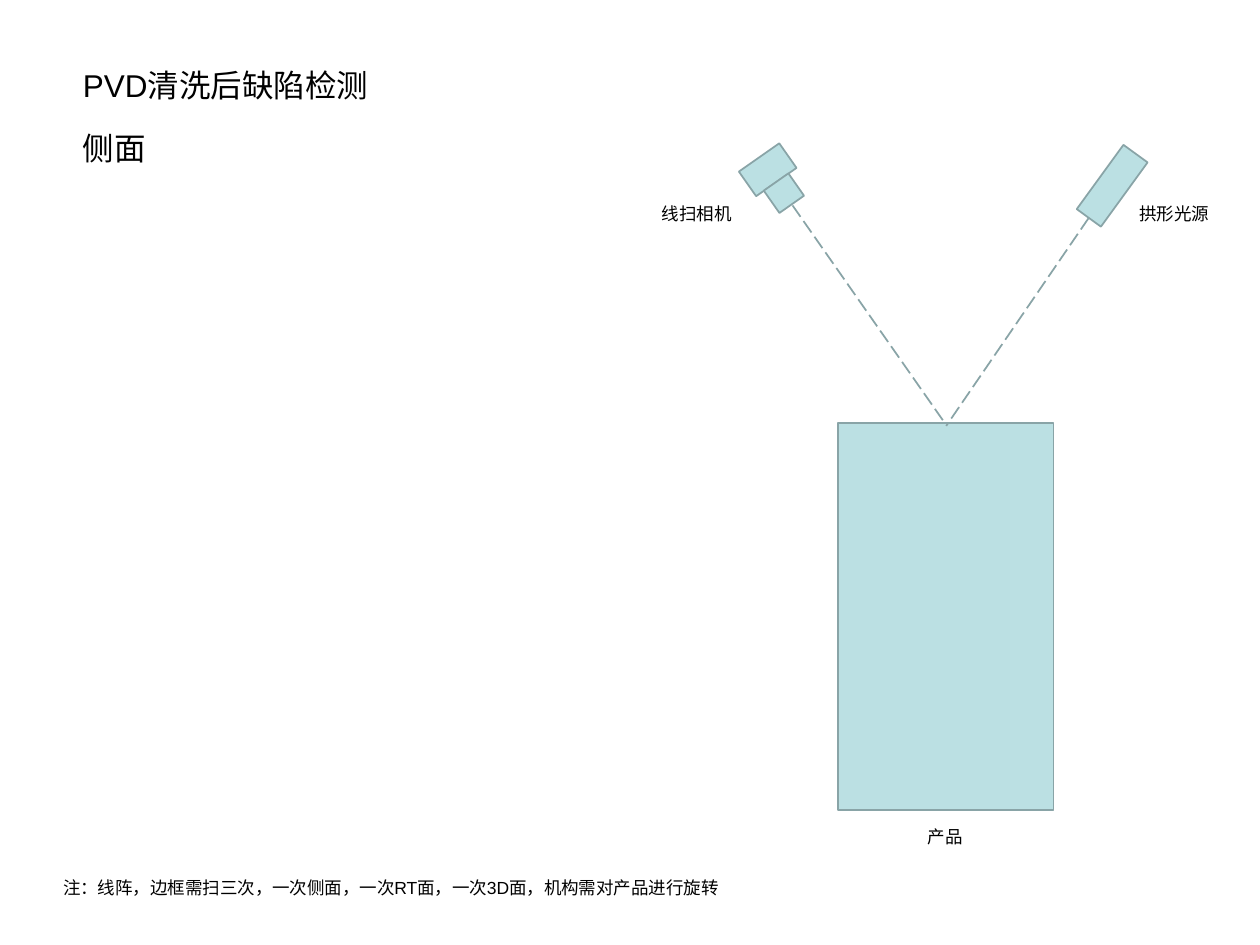
from lxml.etree import SubElement
from pptx import Presentation
from pptx.dml.color import RGBColor as RGB
from pptx.enum.dml import MSO_LINE as Dash
from pptx.enum.shapes import MSO_CONNECTOR as Conn, MSO_SHAPE as Shape
from pptx.enum.text import MSO_ANCHOR as Anchor, MSO_AUTO_SIZE as Auto, PP_ALIGN as Align
from pptx.oxml.ns import qn
from pptx.util import Pt

COLORS = {"fill": "BBE0E3", "line": "89A4A7", "text": "000000"}


def write(sp, text, size=10, font="Arial", color="text", wrap=True):
    tf = sp.text_frame
    tf.word_wrap = wrap
    tf.auto_size = Auto.NONE
    tf.vertical_anchor = Anchor.TOP
    tf.margin_left = tf.margin_right = Pt(7.2)
    tf.margin_top = tf.margin_bottom = Pt(3.6)
    p = tf.paragraphs[0]
    p.alignment = Align.LEFT
    r = p.add_run()
    r.text = text
    r.font.size = Pt(size)
    r.font.name = font
    r.font.color.rgb = RGB.from_string(COLORS[color])


class Builder:
    def __init__(self, slide):
        self.slide = slide
        self.diagram = slide.shapes.add_group_shape().shapes

    def outline(self, line):
        line.color.rgb = RGB.from_string(COLORS["line"])
        line.width = Pt(1)

    def title(self, text, x, y, w, h, **fmt):
        sp = self.slide.shapes.title
        sp.left, sp.top, sp.width, sp.height = map(Pt, (x, y, w, h))
        write(sp, text, **fmt)

    def text(self, text, x, y, w, h, **fmt):
        write(self.slide.shapes.add_textbox(*map(Pt, (x, y, w, h))), text, **fmt)

    def label(self, text, x, y, w, h, **fmt):
        write(self.diagram.add_textbox(*map(Pt, (x, y, w, h))), text, **fmt)

    def block(self, x, y, w, h, angle=0):
        sp = self.diagram.add_shape(Shape.RECTANGLE, *map(Pt, (x, y, w, h)))
        sp.rotation = angle
        sp.shadow.inherit = False
        sp.fill.solid()
        sp.fill.fore_color.rgb = RGB.from_string(COLORS["fill"])
        self.outline(sp.line)

    def ray(self, x1, y1, x2, y2):
        ray = self.diagram.add_connector(Conn.STRAIGHT, *map(Pt, (x1, y1, x2, y2)))
        self.outline(ray.line)
        ray.line.dash_style = Dash.LONG_DASH
        SubElement(ray._element.spPr, qn("a:effectLst"))


def main():
    prs = Presentation()
    prs.slide_width, prs.slide_height = Pt(720), Pt(540)
    s = Builder(prs.slides.add_slide(prs.slide_layouts[5]))

    s.block(478.8, 241.8, 123.3, 221)
    s.block(627, 83.5, 17.1, 45.4, angle=36)
    s.block(424.6, 88.4, 28.2, 17.2, angle=325)
    s.block(439.4, 102.6, 17.2, 15.6, angle=325)
    s.ray(452.9, 117.4, 540, 241.9)
    s.ray(622.1, 124.6, 540.7, 243.4)

    s.label("线扫相机", 371.2, 112.3, 56.5, 19.4)
    s.label("拱形光源", 644, 112.3, 56.5, 19.4)
    s.label("产品", 523, 468.4, 34.8, 19.4)

    s.text("注：线阵，边框需扫三次，一次侧面，一次RT面，一次3D面，机构需对产品进行旋转",
           29, 497.5, 398, 19.4, wrap=False)
    s.title("PVD清洗后缺陷检测", 40.2, 34, 437, 28.8, size=18)
    s.text("侧面", 40.2, 70, 182, 28.8, size=18)

    prs.save("out.pptx")


if __name__ == "__main__":
    main()
